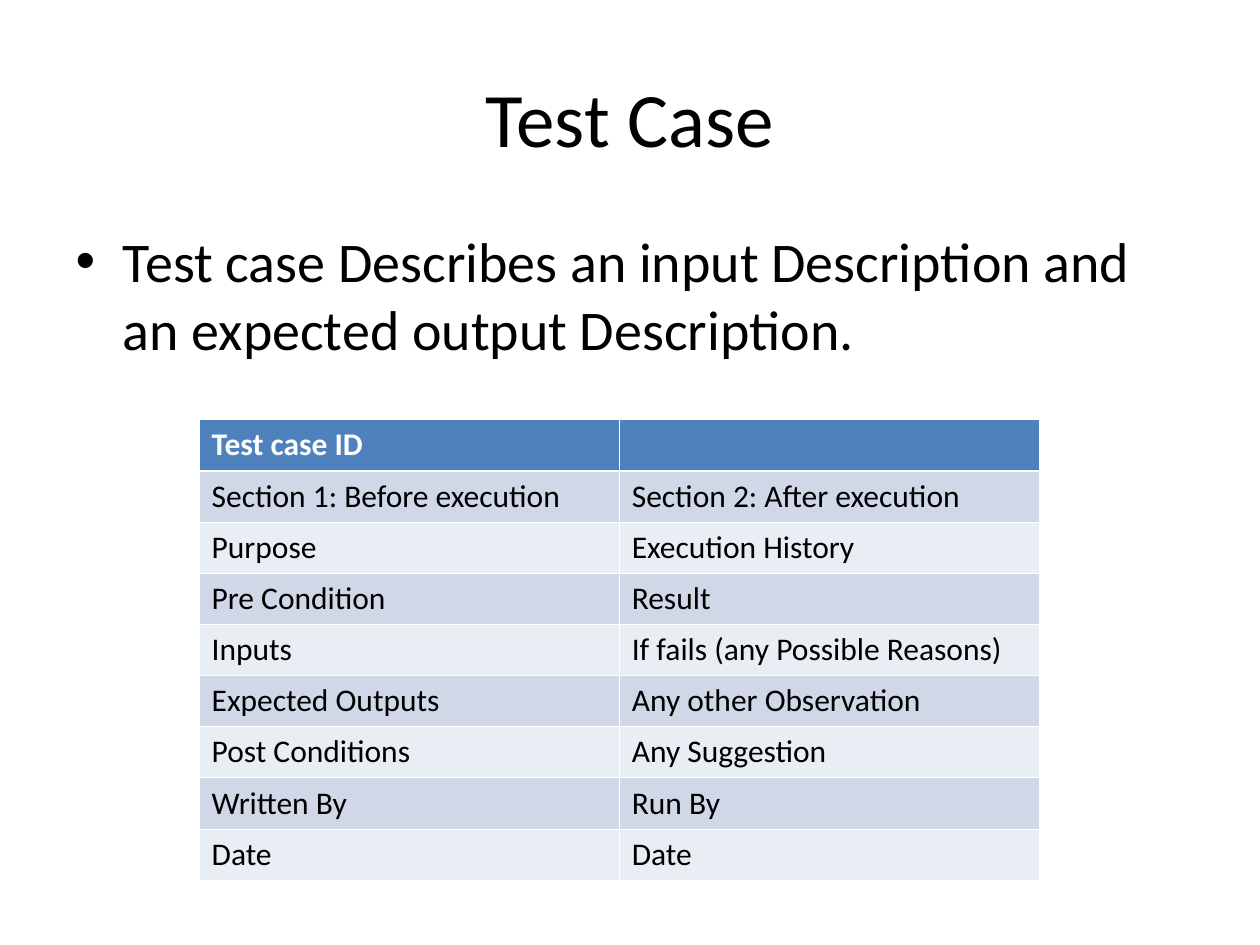
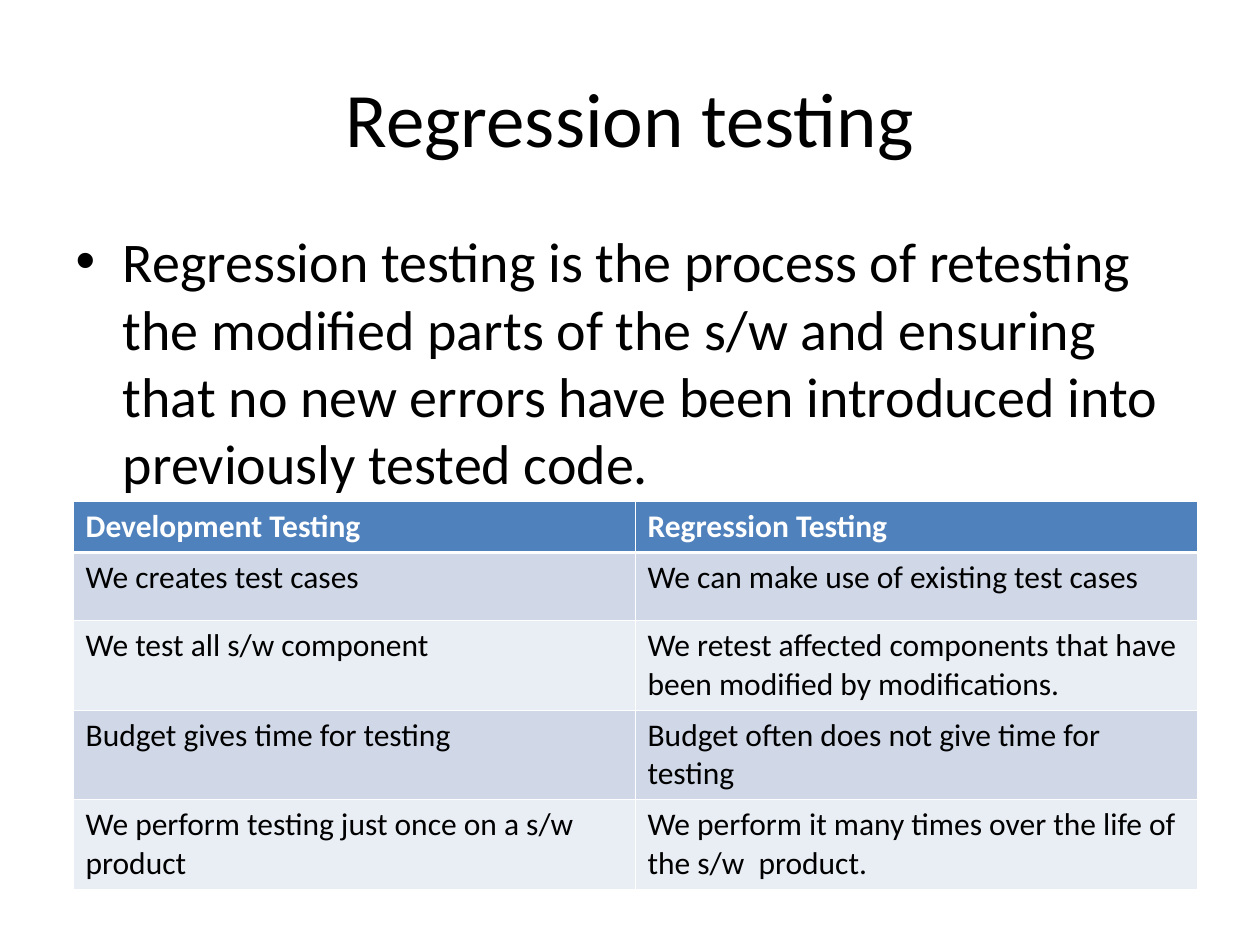
from dataclasses import dataclass

from lxml import etree
from pptx import Presentation
from pptx.dml.color import RGBColor
from pptx.enum.text import MSO_ANCHOR, MSO_AUTO_SIZE, PP_ALIGN
from pptx.oxml.ns import qn
from pptx.util import Inches, Pt

CENTER, LEFT = PP_ALIGN.CENTER, PP_ALIGN.LEFT
MIDDLE, TOP = MSO_ANCHOR.MIDDLE, MSO_ANCHOR.TOP
NO_AUTOFIT = MSO_AUTO_SIZE.NONE
TITLE_AND_CONTENT = 1


@dataclass(frozen=True)
class Theme:
    font: str = "Calibri"
    title_size: int = 44
    body_size: int = 32
    table_size: int = 18
    text: str = "000000"
    light: str = "FFFFFF"
    header: str = "4F81BD"
    bands: tuple = ("D0D8E8", "E9EDF4")
    thin_line: float = 0.45
    thick_line: float = 1.47


THEME = Theme()

# Content: the first row of each table is its header
SLIDES = [
    {
        "title": "Test Case",
        "body": "Test case Describes an input Description and an expected output Description.",
        "table_at": (1.58, 3.33, 6.67),
        "row_heights": [0.41] + [0.405] * 8,
        "rows": [
            ("Test case ID", ""),
            ("Section 1: Before execution", "Section 2: After execution"),
            ("Purpose", "Execution History"),
            ("Pre Condition", "Result"),
            ("Inputs", "If fails (any Possible Reasons)"),
            ("Expected Outputs", "Any other Observation"),
            ("Post Conditions", "Any Suggestion"),
            ("Written By", "Run By"),
            ("Date", "Date"),
        ],
    },
    {
        "title": "Regression testing",
        "body": "Regression testing is the process of retesting the modified parts of the s/w "
                "and ensuring  that no new errors have been introduced into previously tested code.",
        "table_at": (0.58, 3.98, 8.92),
        "row_heights": [0.4, 0.54] + [0.71] * 3,
        "rows": [
            ("Development Testing", "Regression Testing"),
            ("We creates test cases", "We can make use of existing test cases"),
            ("We test all s/w component",
             "We retest affected components that have been modified by modifications."),
            ("Budget gives time for testing", "Budget often does not give time for testing"),
            ("We perform testing just once on a s/w product",
             "We perform it many times over the life of the s/w  product."),
        ],
    },
]

# Left, top, width, height
TITLE_AREA = (0.5, 0.3, 9, 1.25)
BODY_AREA = (0.5, 1.75, 9, 4.95)


def style_text(frame, size, color, bold=False):
    for para in frame.paragraphs:
        for span in para.runs:
            span.font.name = THEME.font
            span.font.size = Pt(size)
            span.font.bold = bold
            span.font.color.rgb = RGBColor.from_string(color)


def fill_placeholder(box, area, text, size, align, anchor):
    box.left, box.top, box.width, box.height = map(Inches, area)
    frame = box.text_frame
    frame.text = text
    frame.word_wrap = True
    frame.auto_size = NO_AUTOFIT
    frame.vertical_anchor = anchor
    frame.paragraphs[0].alignment = align
    frame.paragraphs[0].space_before = Pt(0)
    style_text(frame, size, THEME.text)


def set_borders(cell, row_index):
    """Thin white lines, with a thick one between header and first row."""
    thick_side = {0: "lnB", 1: "lnT"}.get(row_index)
    properties = cell._tc.get_or_add_tcPr()
    for side in ("lnL", "lnR", "lnT", "lnB"):
        width = THEME.thick_line if side == thick_side else THEME.thin_line
        line = etree.SubElement(properties, qn(f"a:{side}"), w=str(Pt(width)))
        fill = etree.SubElement(line, qn("a:solidFill"))
        etree.SubElement(fill, qn("a:srgbClr"), val=THEME.light)


def add_table(page, rows, table_at, row_heights):
    left, top, width = table_at
    columns = len(rows[0])
    table = page.shapes.add_table(
        len(rows), columns, Inches(left), Inches(top),
        Inches(width), Inches(sum(row_heights))).table
    for column in table.columns:
        column.width = Inches(width / columns)
    for row_index, (values, height) in enumerate(zip(rows, row_heights)):
        is_header = row_index == 0
        table.rows[row_index].height = Inches(height)
        fill_color = THEME.header if is_header else THEME.bands[(row_index - 1) % 2]
        for column_index, value in enumerate(values):
            cell = table.cell(row_index, column_index)
            set_borders(cell, row_index)
            cell.fill.solid()
            cell.fill.fore_color.rgb = RGBColor.from_string(fill_color)
            cell.text_frame.text = value
            style_text(cell.text_frame, THEME.table_size,
                       THEME.light if is_header else THEME.text, is_header)


def main():
    deck = Presentation()
    deck.slide_width, deck.slide_height = Inches(10), Inches(7.5)
    for content in SLIDES:
        page = deck.slides.add_slide(deck.slide_layouts[TITLE_AND_CONTENT])
        fill_placeholder(page.shapes.title, TITLE_AREA, content["title"],
                         THEME.title_size, CENTER, MIDDLE)
        fill_placeholder(page.placeholders[1], BODY_AREA, content["body"],
                         THEME.body_size, LEFT, TOP)
        add_table(page, content["rows"], content["table_at"], content["row_heights"])
    deck.save("out.pptx")


if __name__ == "__main__":
    main()
